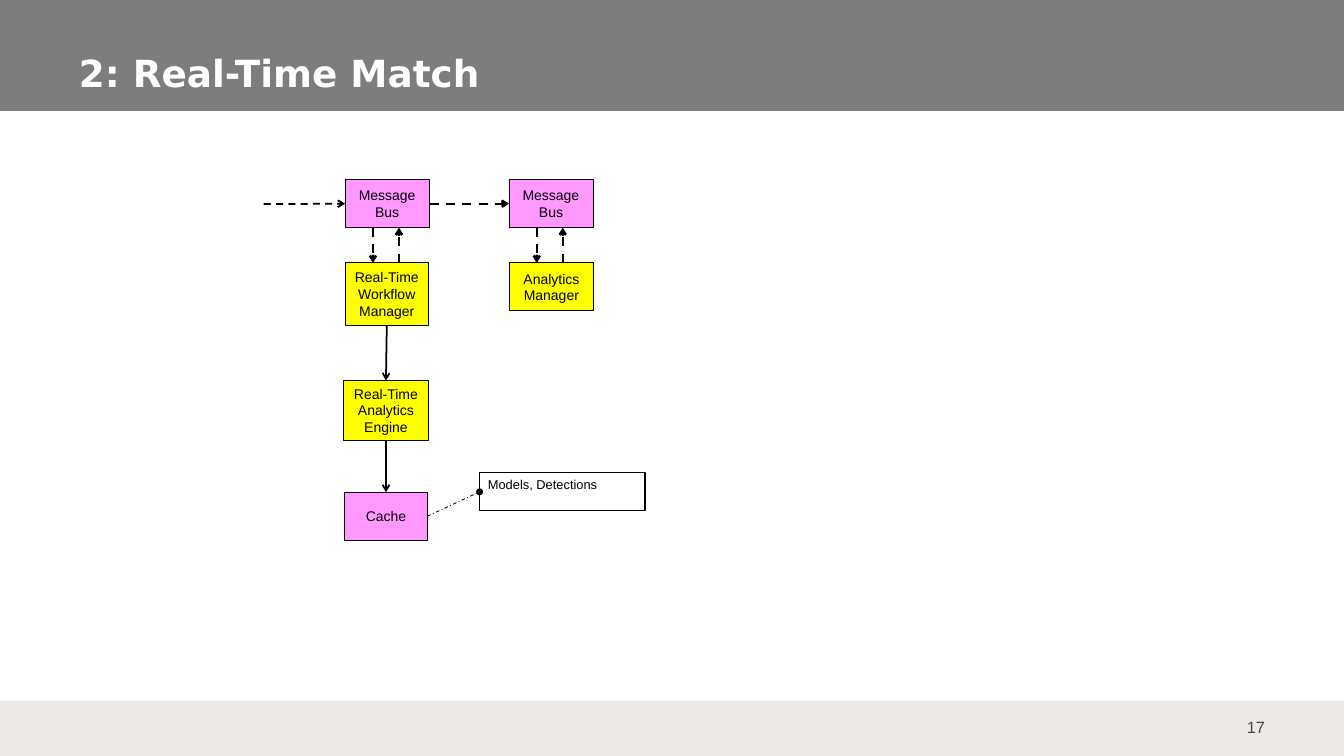
from dataclasses import dataclass
from typing import Optional

import lxml.etree
import pptx
import pptx.dml.color
import pptx.enum.dml
import pptx.enum.shapes
import pptx.enum.text
import pptx.oxml.ns
import pptx.util

Inches = pptx.util.Inches
Align = pptx.enum.text.PP_ALIGN
Anchor = pptx.enum.text.MSO_ANCHOR
Dash = pptx.enum.dml.MSO_LINE

COLORS = {
    "header": "7D7D7D",
    "footer": "EFE9E5",
    "number": "464646",
    "service": "FFFF00",
    "store": "FF99FF",
    "white": "FFFFFF",
    "black": "000000",
}
TOP, LEFT, BOTTOM, RIGHT = range(4)
BUS_TOP, BUS_BOTTOM, MANAGER_TOP = 2.14, 2.71, 3.13


@dataclass(frozen=True)
class Box:
    name: str
    text: str
    left: float
    top: float
    width: float
    height: float
    color: str


@dataclass(frozen=True)
class Link:
    source: str
    source_side: int
    target: str
    target_side: int
    weight: float = 1.5
    dash: Optional[Dash] = None
    tip: str = "arrow"


BOXES = [
    Box("engine", "Real-Time\nAnalytics\nEngine", 4.09, 4.53, 1.01, 0.71, "service"),
    Box("cache", "Cache", 4.1, 5.86, 0.99, 0.57, "store"),
    Box("workflow bus", "Message\nBus", 4.11, BUS_TOP, 1, 0.57, "store"),
    Box("analytics bus", "Message\nBus", 6.06, BUS_TOP, 1, 0.57, "store"),
    Box("analytics", "Analytics\nManager", 6.06, MANAGER_TOP, 1.01, 0.57, "service"),
    Box("workflow", "Real-Time\nWorkflow\nManager", 4.11, MANAGER_TOP, 0.99, 0.74, "service"),
]
LINKS = [
    Link("workflow", BOTTOM, "engine", TOP),
    Link("engine", BOTTOM, "cache", TOP),
    Link("cache", RIGHT, "note", LEFT, 0.75, Dash.DASH_DOT, "oval"),
    Link("workflow bus", RIGHT, "analytics bus", LEFT, 2, Dash.DASH),
]


def rgb(color: str) -> pptx.dml.color.RGBColor:
    return pptx.dml.color.RGBColor.from_string(COLORS[color])


def write_text(shape, text: str, *, size: float = 12, font: str = "Arial",
               color: str = "black", bold: bool = False, align: Align = Align.CENTER,
               anchor: Anchor = Anchor.MIDDLE, wrap: bool = True,
               insets: tuple[float, float] = (0.1, 0.05)) -> None:
    """Fill a shape with one paragraph per line; insets are horizontal and vertical."""
    frame = shape.text_frame
    frame.word_wrap = wrap
    frame.vertical_anchor = anchor
    frame.margin_left = frame.margin_right = Inches(insets[0])
    frame.margin_top = frame.margin_bottom = Inches(insets[1])
    frame.text = text
    for paragraph in frame.paragraphs:
        paragraph.alignment = align
        for run in paragraph.runs:
            run.font.size = pptx.util.Pt(size)
            run.font.name = font
            run.font.bold = bold
            run.font.color.rgb = rgb(color)


def add_rectangle(slide, left: float, top: float, width: float, height: float,
                  color: str, line_weight: float = 0):
    shape = slide.shapes.add_shape(
        pptx.enum.shapes.MSO_SHAPE.RECTANGLE,
        Inches(left), Inches(top), Inches(width), Inches(height))
    shape.shadow.inherit = False
    shape.fill.solid()
    shape.fill.fore_color.rgb = rgb(color)
    if line_weight:
        shape.line.color.rgb = rgb("black")
        shape.line.width = pptx.util.Pt(line_weight)
    else:
        shape.line.fill.background()
    return shape


def add_text_box(slide, left: float, top: float, width: float, height: float):
    return slide.shapes.add_textbox(
        Inches(left), Inches(top), Inches(width), Inches(height))


def add_line(slide, start: tuple[float, float], end: tuple[float, float],
             weight: float, dash: Optional[Dash], tip: str):
    connector = slide.shapes.add_connector(
        pptx.enum.shapes.MSO_CONNECTOR.STRAIGHT,
        *(Inches(value) for value in (*start, *end)))
    connector.line.color.rgb = rgb("black")
    connector.line.width = pptx.util.Pt(weight)
    if dash is not None:
        connector.line.dash_style = dash
    qn = pptx.oxml.ns.qn
    properties = connector._element.spPr
    lxml.etree.SubElement(properties.find(qn("a:ln")), qn("a:tailEnd"), type=tip)
    lxml.etree.SubElement(properties, qn("a:effectLst"))
    return connector


def add_frame(slide) -> None:
    """Add the header band, footer band, title and slide number."""
    add_rectangle(slide, -0.02, 0, 16.05, 1.32, "header")
    add_rectangle(slide, 0, 8.34, 16, 0.66, "footer")
    write_text(add_text_box(slide, 14.4, 8.42, 0.8, 0.48), "17", size=14,
               color="number", align=Align.RIGHT, insets=(0.14, 0.07))
    write_text(add_text_box(slide, 0.8, 0.46, 14.21, 0.74), "2: Real-Time Match",
               size=32, font="DejaVu Sans", color="white", bold=True,
               align=Align.LEFT, anchor=Anchor.BOTTOM, insets=(0.14, 0.07))


def add_diagram(slide) -> None:
    shapes = {}
    for box in BOXES:
        shape = add_rectangle(slide, box.left, box.top, box.width, box.height, box.color, 0.75)
        write_text(shape, box.text, wrap=False)
        shapes[box.name] = shape
    shapes["note"] = add_rectangle(slide, 5.71, 5.63, 1.97, 0.45, "white", 1)
    write_text(shapes["note"], "Models, Detections", size=11,
               align=Align.LEFT, anchor=Anchor.TOP)

    for link in LINKS:
        connector = add_line(slide, (0, 0), (1, 1), link.weight, link.dash, link.tip)
        connector.begin_connect(shapes[link.source], link.source_side)
        connector.end_connect(shapes[link.target], link.target_side)

    incoming = add_line(slide, (3.14, 2.43), (4.11, 2.42), 1.5, Dash.DASH, "arrow")
    incoming.end_connect(shapes["workflow bus"], LEFT)
    for box in BOXES:
        if box.top == BUS_TOP:
            down, up = box.left + 0.33, box.left + 0.64
            add_line(slide, (down, BUS_BOTTOM), (down, MANAGER_TOP), 2, Dash.DASH, "arrow")
            add_line(slide, (up, MANAGER_TOP), (up, BUS_BOTTOM), 2, Dash.DASH, "arrow")


def main() -> None:
    presentation = pptx.Presentation()
    presentation.slide_width = Inches(16)
    presentation.slide_height = Inches(9)
    slide = presentation.slides.add_slide(presentation.slide_layouts[6])
    add_frame(slide)
    add_diagram(slide)
    presentation.save("out.pptx")


if __name__ == "__main__":
    main()
